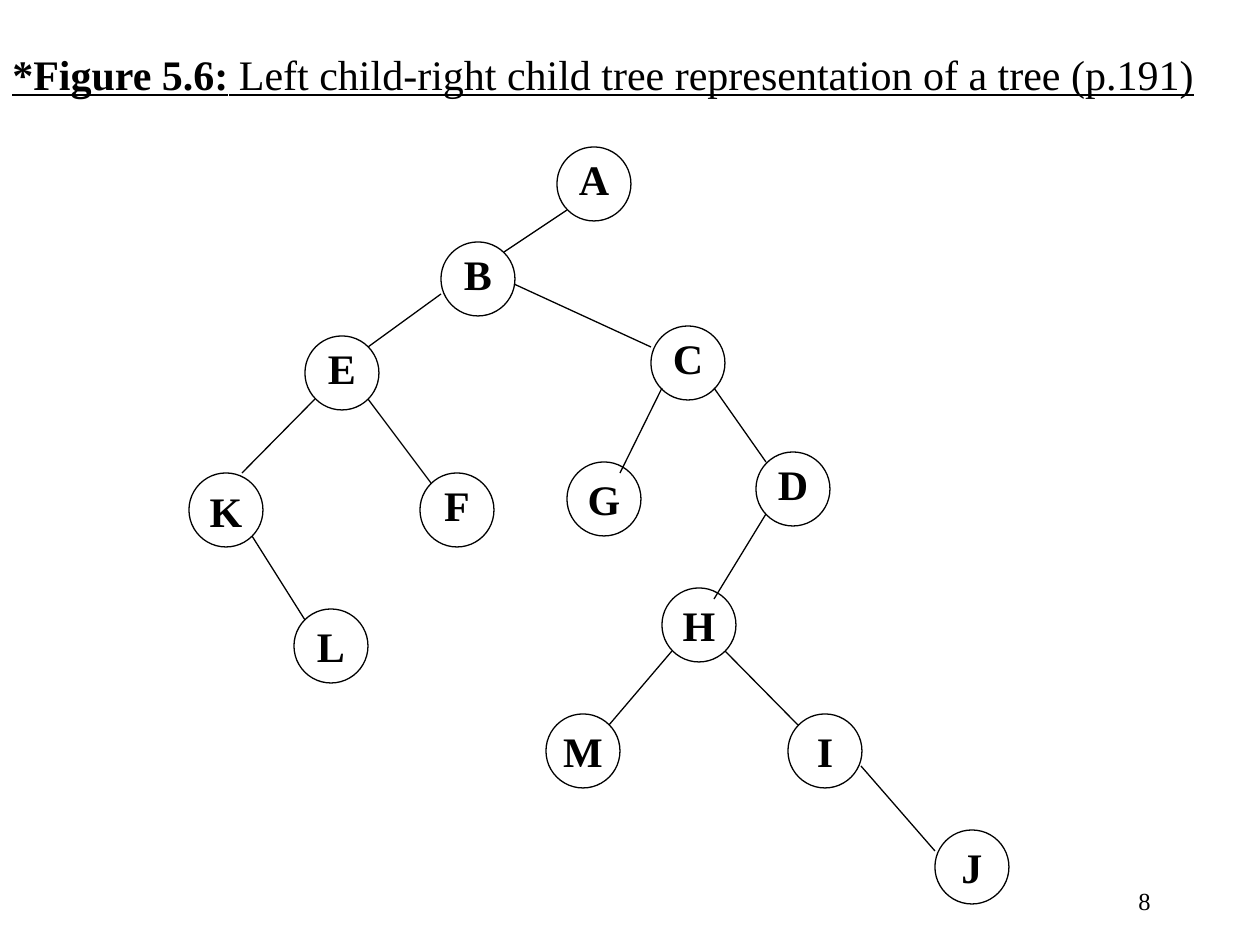
import pptx
import pptx.util
import pptx.dml.color
import pptx.enum.shapes
import pptx.enum.text
import pptx.oxml.ns
import lxml.etree

BLACK = pptx.dml.color.RGBColor(0, 0, 0)
FONT = "Times New Roman"
SCALE = 914400 / 126
DIAMETER = 74
LABEL_HEIGHT = 63

TITLE = [
    ("*Figure 5.6:", {"bold": True, "underline": True}),
    (" Left child-right child tree representation of a tree (p.191)",
     {"bold": False, "underline": True}),
]
PAGE_NUMBER = "8"

# name: left, top of the circle
NODES = {
    "A": (557, 147), "B": (441, 242), "E": (305, 336), "C": (651, 326),
    "J": (935, 830), "D": (756, 452), "K": (189, 473), "I": (788, 714),
    "G": (567, 462), "M": (546, 714), "H": (662, 588), "F": (420, 473),
    "L": (294, 609),
}
# labels in a box over the circle: name and drop below the circle's top
BOX_LABELS = {"A": 0, "B": 0, "C": 0, "D": 0, "E": 0, "F": 0, "G": 5, "K": 6}

EDGES = {
    "AB": (567, 210, 504, 252), "BE": (441, 294, 368, 347),
    "EK": (315, 399, 242, 473), "KL": (252, 536, 305, 620),
    "EF": (368, 399, 431, 483), "BC": (514, 284, 651, 347),
    "CG": (662, 388, 620, 473), "CD": (714, 388, 766, 462),
    "DH": (766, 514, 714, 599), "HM": (672, 651, 609, 725),
    "HI": (725, 651, 798, 725), "IJ": (861, 766, 935, 851),
}

Align = pptx.enum.text.PP_ALIGN
Anchor = pptx.enum.text.MSO_ANCHOR


def px(*lengths):
    return [pptx.util.Emu(round(n * SCALE)) for n in lengths]


def write(sp, runs, size=24, align=Align.CENTER, anchor=Anchor.TOP, wrap=False):
    tf = sp.text_frame
    tf.word_wrap = wrap
    tf.vertical_anchor = anchor
    p = tf.paragraphs[0]
    p.alignment = align
    for text, style in runs:
        r = p.add_run()
        r.text = text
        r.font.color.rgb = BLACK
        for key, value in {"name": FONT, "size": pptx.util.Pt(size), **style}.items():
            setattr(r.font, key, value)


def outline(sp):
    sp.line.color.rgb = BLACK
    sp.line.width = pptx.util.Pt(0.75)


prs = pptx.Presentation()
prs.slide_width, prs.slide_height = px(1260, 945)
shapes = prs.slides.add_slide(prs.slide_layouts[6]).shapes

for name, (left, top) in NODES.items():
    sp = shapes.add_shape(pptx.enum.shapes.MSO_SHAPE.OVAL,
                          *px(left, top, DIAMETER, DIAMETER))
    sp.shadow.inherit = False
    sp.fill.background()
    outline(sp)
    if name not in BOX_LABELS:
        write(sp, [(name, {"bold": True})], anchor=Anchor.MIDDLE)

for ends in EDGES.values():
    line = shapes.add_connector(pptx.enum.shapes.MSO_CONNECTOR.STRAIGHT, *px(*ends))
    outline(line)
    lxml.etree.SubElement(line._element.spPr, pptx.oxml.ns.qn("a:effectLst"))

for name, drop in BOX_LABELS.items():
    left, top = NODES[name]
    box = shapes.add_textbox(*px(left, top + drop, DIAMETER, LABEL_HEIGHT))
    write(box, [(name, {"bold": True})])

write(shapes.add_textbox(*px(0, 42, 1207, 63)), TITLE, align=Align.LEFT)
write(shapes.add_textbox(*px(901, 880, 262, 63)), [(PAGE_NUMBER, {})],
      size=14, align=Align.RIGHT, wrap=True)

prs.save("out.pptx")
